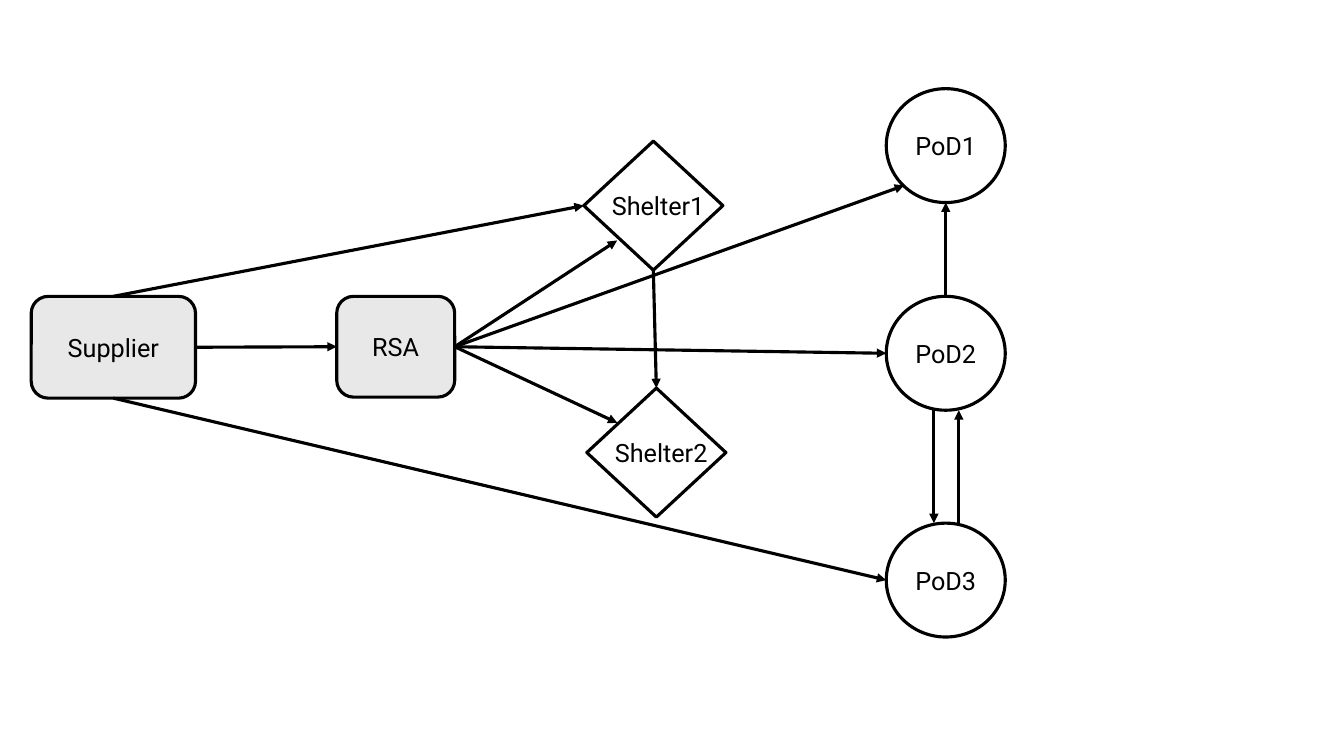
from lxml import etree
from pptx import Presentation
from pptx.dml.color import RGBColor
from pptx.enum.shapes import MSO_CONNECTOR, MSO_SHAPE
from pptx.enum.text import MSO_ANCHOR, PP_ALIGN
from pptx.oxml.ns import qn
from pptx.util import Inches, Pt

BLACK, WHITE, GREY = "000000", "FFFFFF", "E8E8E8"
LINE_WIDTH = Pt(2.25)


def color(hex_string):
    return RGBColor.from_string(hex_string)


def write_label(shape, text, align):
    frame = shape.text_frame
    frame.text = text
    paragraph = frame.paragraphs[0]
    paragraph.alignment = align
    paragraph.font.name = "Roboto"
    paragraph.font.size = Pt(18)
    paragraph.font.color.rgb = color(BLACK)
    return frame


presentation = Presentation()
presentation.slide_width = Inches(13.33)
presentation.slide_height = Inches(7.5)
slide = presentation.slides.add_slide(presentation.slide_layouts[6])

# Each kind of node: preset shape and fill
KINDS = {
    "source": (MSO_SHAPE.ROUNDED_RECTANGLE, GREY),
    "shelter": (MSO_SHAPE.DIAMOND, WHITE),
    "delivery": (MSO_SHAPE.OVAL, WHITE),
}
# Each node: kind, left, top, width, height in inches
POD_LEFT, POD_SIZE = 8.79, (1.18, 1.13)
SHELTER_SIZE = (1.38, 1.28)
NODES = {
    "Supplier": ("source", 0.31, 2.94, 1.63, 1.01),
    "RSA": ("source", 3.34, 2.94, 1.17, 1),
    "Shelter1": ("shelter", 5.79, 1.4, *SHELTER_SIZE),
    "Shelter2": ("shelter", 5.82, 3.85, *SHELTER_SIZE),
    "PoD1": ("delivery", POD_LEFT, 0.88, *POD_SIZE),
    "PoD2": ("delivery", POD_LEFT, 2.94, *POD_SIZE),
    "PoD3": ("delivery", POD_LEFT, 5.19, *POD_SIZE),
}

for name, (kind, left, top, width, height) in NODES.items():
    preset, fill = KINDS[kind]
    node = slide.shapes.add_shape(
        preset, Inches(left), Inches(top), Inches(width), Inches(height))
    node.shadow.inherit = False
    node.fill.solid()
    node.fill.fore_color.rgb = color(fill)
    node.line.color.rgb = color(BLACK)
    node.line.width = LINE_WIDTH
    if kind == "shelter":
        # A diamond is too narrow inside for its name, so a text box lies over it
        label = slide.shapes.add_textbox(
            Inches(left + 0.18), Inches(top + 0.44), Inches(1.2), Inches(0.4))
        write_label(label, name, PP_ALIGN.LEFT).word_wrap = True
    else:
        frame = write_label(node, name, PP_ALIGN.CENTER)
        frame.vertical_anchor = MSO_ANCHOR.MIDDLE

# Arrow ends as shares of a node's width and height
TOP, BOTTOM, LEFT, RIGHT = (0.5, 0), (0.5, 1), (0, 0.5), (1, 0.5)
LOWER_LEFT = (0.15, 0.85)
DOWN_LANE, UP_LANE = 0.4, 0.61
ARROWS = [
    ("Supplier", RIGHT, "RSA", LEFT),
    ("Supplier", TOP, "Shelter1", LEFT),
    ("Supplier", BOTTOM, "PoD3", LEFT),
    ("RSA", RIGHT, "Shelter1", (0.24, 0.77)),
    ("RSA", RIGHT, "Shelter2", (0.22, 0.27)),
    ("RSA", RIGHT, "PoD1", LOWER_LEFT),
    ("RSA", RIGHT, "PoD2", LEFT),
    ("Shelter1", BOTTOM, "Shelter2", TOP),
    ("PoD2", TOP, "PoD1", BOTTOM),
    ("PoD2", (DOWN_LANE, 1), "PoD3", (DOWN_LANE, 0)),
    ("PoD3", (UP_LANE, 0), "PoD2", (UP_LANE, 1)),
]

for start, start_share, end, end_share in ARROWS:
    points = []
    for name, (across, down) in ((start, start_share), (end, end_share)):
        _, left, top, width, height = NODES[name]
        points += [Inches(left + across * width), Inches(top + down * height)]
    arrow = slide.shapes.add_connector(MSO_CONNECTOR.STRAIGHT, *points)
    arrow.line.color.rgb = color(BLACK)
    arrow.line.width = LINE_WIDTH
    properties = arrow.element.spPr
    etree.SubElement(properties.find(qn("a:ln")), qn("a:tailEnd"), type="triangle")
    etree.SubElement(properties, qn("a:effectLst"))

presentation.save("out.pptx")
